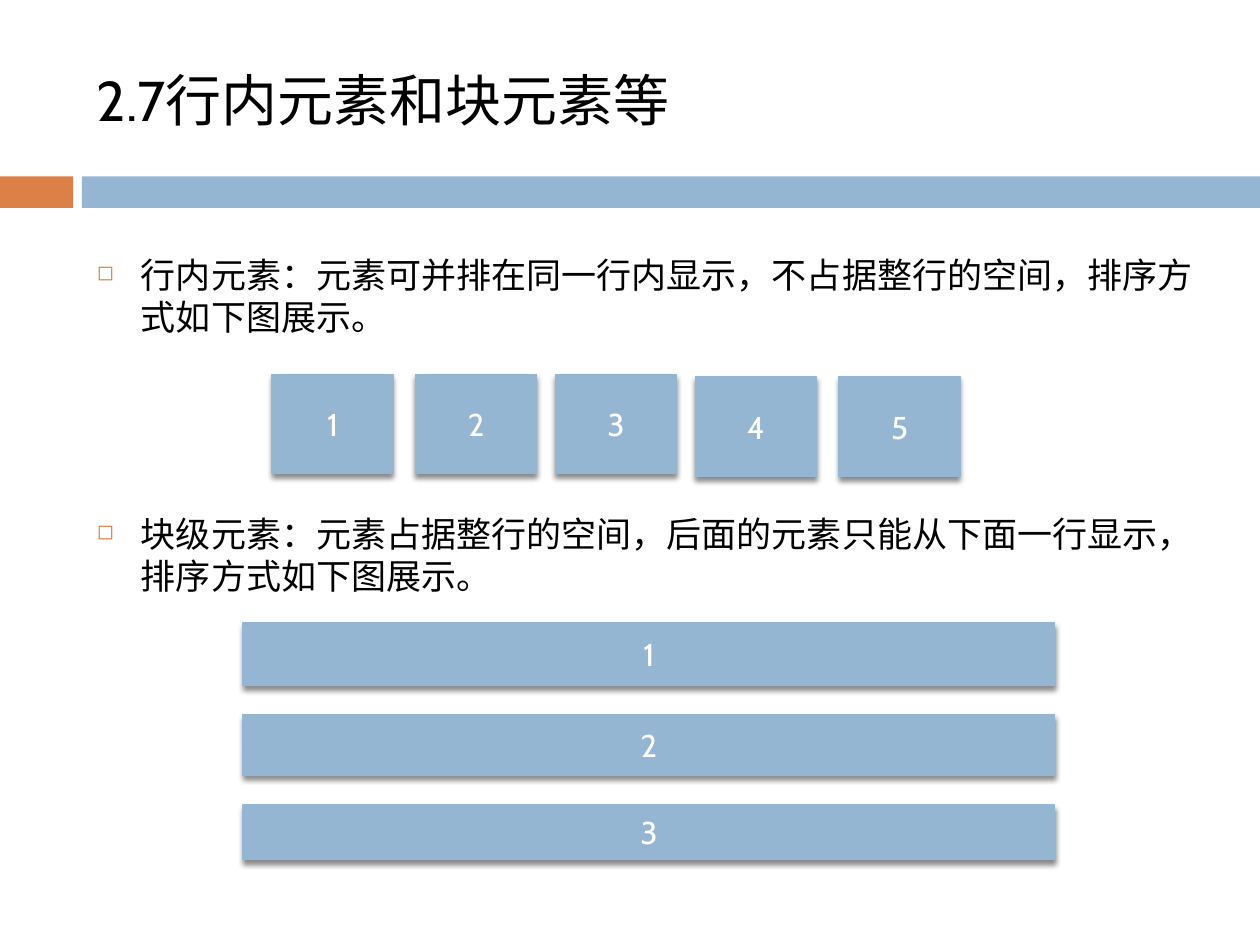
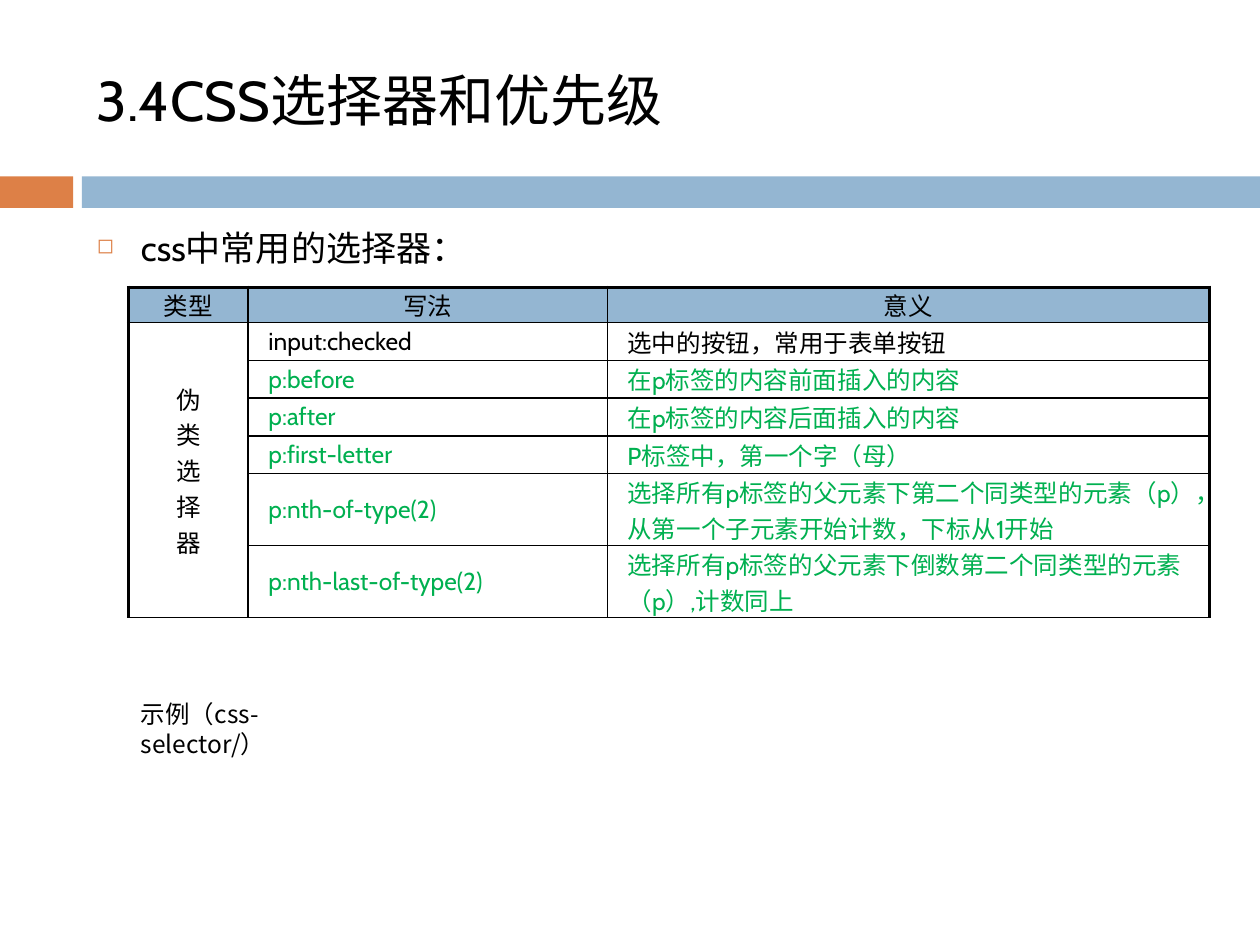
import pptx
import pptx.dml.color
import pptx.enum.shapes
import pptx.enum.text
import pptx.oxml
import pptx.oxml.ns
import pptx.util
from pptx.util import Inches

LATIN, CJK = "Cabin", "Noto Sans CJK SC"
BLUE, ORANGE, GREEN = "94B6D2", "DD8047", "00B050"
BLACK, WHITE = "000000", "FFFFFF"
DRAWING = pptx.oxml.ns.nsdecls("a")
CENTER = pptx.enum.text.PP_ALIGN.CENTER
LEFT = pptx.enum.text.PP_ALIGN.LEFT
MIDDLE = pptx.enum.text.MSO_ANCHOR.MIDDLE
TOP = pptx.enum.text.MSO_ANCHOR.TOP

SELECTORS = [
    ("input:checked", "选中的按钮，常用于表单按钮", BLACK, 0.3),
    ("p:before", "在p标签的内容前面插入的内容", GREEN, 0.3),
    ("p:after", "在p标签的内容后面插入的内容", GREEN, 0.3),
    ("p:first-letter", "P标签中，第一个字（母）", GREEN, 0.3),
    ("p:nth-of-type(2)",
     "选择所有p标签的父元素下第二个同类型的元素（p），从第一个子元素开始计数，下标从1开始", GREEN, 0.57),
    ("p:nth-last-of-type(2)",
     "选择所有p标签的父元素下倒数第二个同类型的元素（p）,计数同上", GREEN, 0.57),
]


def color(hex_value):
    return pptx.dml.color.RGBColor.from_string(hex_value)


def apply(target, values):
    for name, value in values.items():
        setattr(target, name, value)


def write(frame, lines, size, hue=BLACK, align=LEFT, latin=LATIN, east_asian=LATIN):
    for index, line in enumerate(lines):
        paragraph = frame.add_paragraph() if index else frame.paragraphs[0]
        paragraph.alignment = align
        run = paragraph.add_run()
        run.text = line
        apply(run.font, {"size": pptx.util.Pt(size), "name": latin})
        run.font.color.rgb = color(hue)
        run.font._element.find(pptx.oxml.ns.qn("a:latin")).addnext(
            pptx.oxml.parse_xml(f'<a:ea {DRAWING} typeface="{east_asian}"/>'))


def add_text(slide, box, text, size, anchor=TOP, **style):
    frame = slide.shapes.add_textbox(*map(Inches, box)).text_frame
    apply(frame, {"word_wrap": True, "vertical_anchor": anchor})
    write(frame, [text], size, **style)
    return frame


def add_bullet(slide, top, height, text):
    frame = add_text(slide, (0.67, top, 8.92, height), text, 20)
    properties = frame.paragraphs[0]._p.get_or_add_pPr()
    for name, value in {"marL": Inches(0.35), "indent": -Inches(0.35)}.items():
        properties.set(name, str(value))
    for markup in (f'<a:buClr {DRAWING}><a:srgbClr val="{ORANGE}"/></a:buClr>',
                   f'<a:buSzPct {DRAWING} val="60000"/>',
                   f'<a:buChar {DRAWING} char="◻"/>'):
        properties.append(pptx.oxml.parse_xml(markup))


def add_block(slide, box, fill):
    block = slide.shapes.add_shape(
        pptx.enum.shapes.MSO_SHAPE.RECTANGLE, *map(Inches, box))
    block.shadow.inherit = False
    block.fill.solid()
    block.fill.fore_color.rgb = color(fill)
    block.line.fill.background()
    return block


def add_numbered_block(slide, box, number):
    block = add_block(slide, box, BLUE)
    block.line.color.rgb = color(BLUE)
    block.line.width = pptx.util.Pt(0.79)
    effects = block._element.spPr.find(pptx.oxml.ns.qn("a:effectLst"))
    effects.append(pptx.oxml.parse_xml(
        f'<a:outerShdw {DRAWING} blurRad="{pptx.util.Pt(3)}" dist="{pptx.util.Pt(2.4)}" '
        f'dir="5400000" rotWithShape="0"><a:srgbClr val="{BLACK}">'
        '<a:alpha val="45000"/></a:srgbClr></a:outerShdw>'))
    block.text_frame.vertical_anchor = MIDDLE
    write(block.text_frame, [str(number)], 18, WHITE, CENTER)


def add_titled_slide(deck, title):
    slide = deck.slides.add_slide(deck.slide_layouts[6])
    add_block(slide, (0, 1.4, 0.58, 0.25), ORANGE)
    add_block(slide, (0.65, 1.4, 9.35, 0.25), BLUE)
    add_text(slide, (0.67, 0.25, 8.92, 1.08), title, 32, MIDDLE)
    return slide


def set_borders(cell, widths):
    properties = cell._tc.get_or_add_tcPr()
    for index, (side, width) in enumerate(widths.items()):
        properties.insert(index, pptx.oxml.parse_xml(
            f'<a:ln{side} {DRAWING} w="{pptx.util.Pt(width)}"><a:solidFill>'
            f'<a:srgbClr val="{BLACK}"/></a:solidFill></a:ln{side}>'))


def fill_cell(cell, lines, hue=BLACK, align=LEFT, latin=LATIN):
    apply(cell, {
        "margin_left": Inches(0.16 if align == LEFT else 0),
        "margin_right": 0, "margin_top": 0, "margin_bottom": 0,
        "vertical_anchor": MIDDLE,
    })
    write(cell.text_frame, lines, 14, hue, align, latin, CJK)


def add_selector_table(slide):
    widths = [0.95, 2.85, 4.78]
    heights = [0.28] + [height for *_, height in SELECTORS]
    table = slide.shapes.add_table(
        len(heights), len(widths),
        *map(Inches, (1.02, 2.28, sum(widths), sum(heights)))).table
    apply(table, {"first_row": False, "horz_banding": False})
    for column, width in zip(table.columns, widths):
        column.width = Inches(width)
    for row, height in zip(table.rows, heights):
        row.height = Inches(height)

    for r in range(len(heights)):
        for c in range(len(widths)):
            cell = table.cell(r, c)
            if r:
                cell.fill.background()
            else:
                cell.fill.solid()
                cell.fill.fore_color.rgb = color(BLUE)
            set_borders(cell, {
                "L": 2.25 if c == 0 else 1,
                "R": 2.25 if c == len(widths) - 1 else 1,
                "T": 2.25 if r == 0 else 1,
                "B": 1,
            })

    for c, heading in enumerate(("类型", "写法", "意义")):
        fill_cell(table.cell(0, c), [heading], align=CENTER, latin=CJK)
    table.cell(1, 0).merge(table.cell(len(SELECTORS), 0))
    fill_cell(table.cell(1, 0), "伪类选择器", align=CENTER, latin=CJK)
    for r, (selector, meaning, hue, _) in enumerate(SELECTORS, 1):
        fill_cell(table.cell(r, 1), [selector], hue)
        fill_cell(table.cell(r, 2), [meaning], hue)


def build_elements_slide(deck):
    slide = add_titled_slide(deck, "2.7行内元素和块元素等")
    add_bullet(slide, 1.96, 0.8,
               "行内元素：元素可并排在同一行内显示，不占据整行的空间，排序方式如下图展示。")
    add_bullet(slide, 4.02, 0.8,
               "块级元素：元素占据整行的空间，后面的元素只能从下面一行显示，排序方式如下图展示。")
    inline_places = [(2.16, 2.97), (3.3, 2.97), (4.41, 2.97), (5.52, 2.99), (6.66, 2.99)]
    for number, (left, top) in enumerate(inline_places, 1):
        add_numbered_block(slide, (left, top, 0.96, 0.79), number)
    for number, (top, height) in enumerate([(4.94, 0.5), (5.67, 0.48), (6.39, 0.43)], 1):
        add_numbered_block(slide, (1.93, top, 6.44, height), number)


def build_selectors_slide(deck):
    slide = add_titled_slide(deck, "3.4CSS选择器和优先级")
    add_bullet(slide, 1.75, 0.44, "css中常用的选择器：")
    add_selector_table(slide)
    example = add_text(slide, (1.02, 5.5, 2.17, 0.34), "示例（css-selector/）", 14,
                       latin=CJK, east_asian=CJK)
    example.margin_right = Inches(1)
    example.paragraphs[0].line_spacing = pptx.util.Pt(16.8)


def main():
    deck = pptx.Presentation()
    apply(deck, {"slide_width": Inches(10), "slide_height": Inches(7.5)})
    build_elements_slide(deck)
    build_selectors_slide(deck)
    deck.save("out.pptx")


if __name__ == "__main__":
    main()
